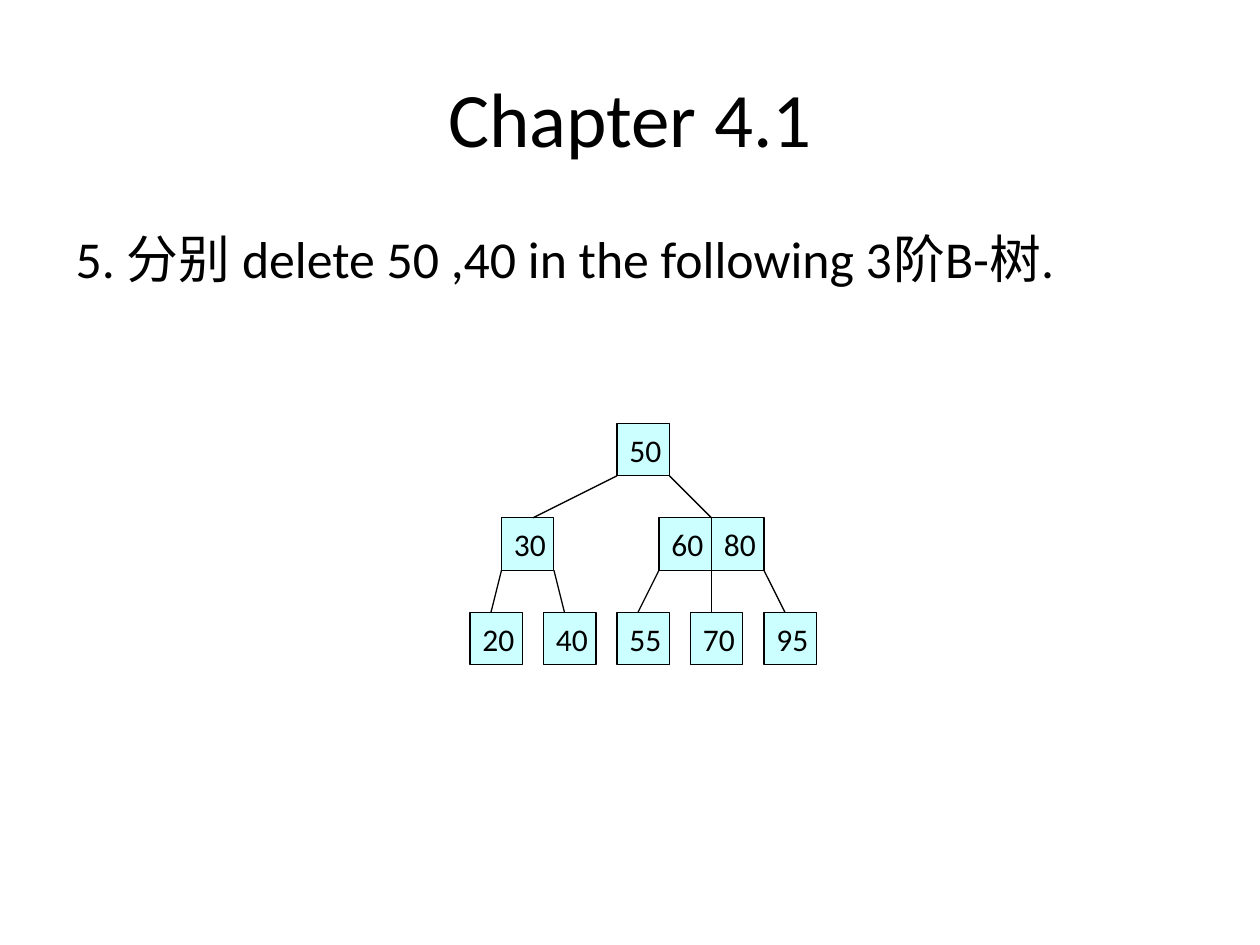
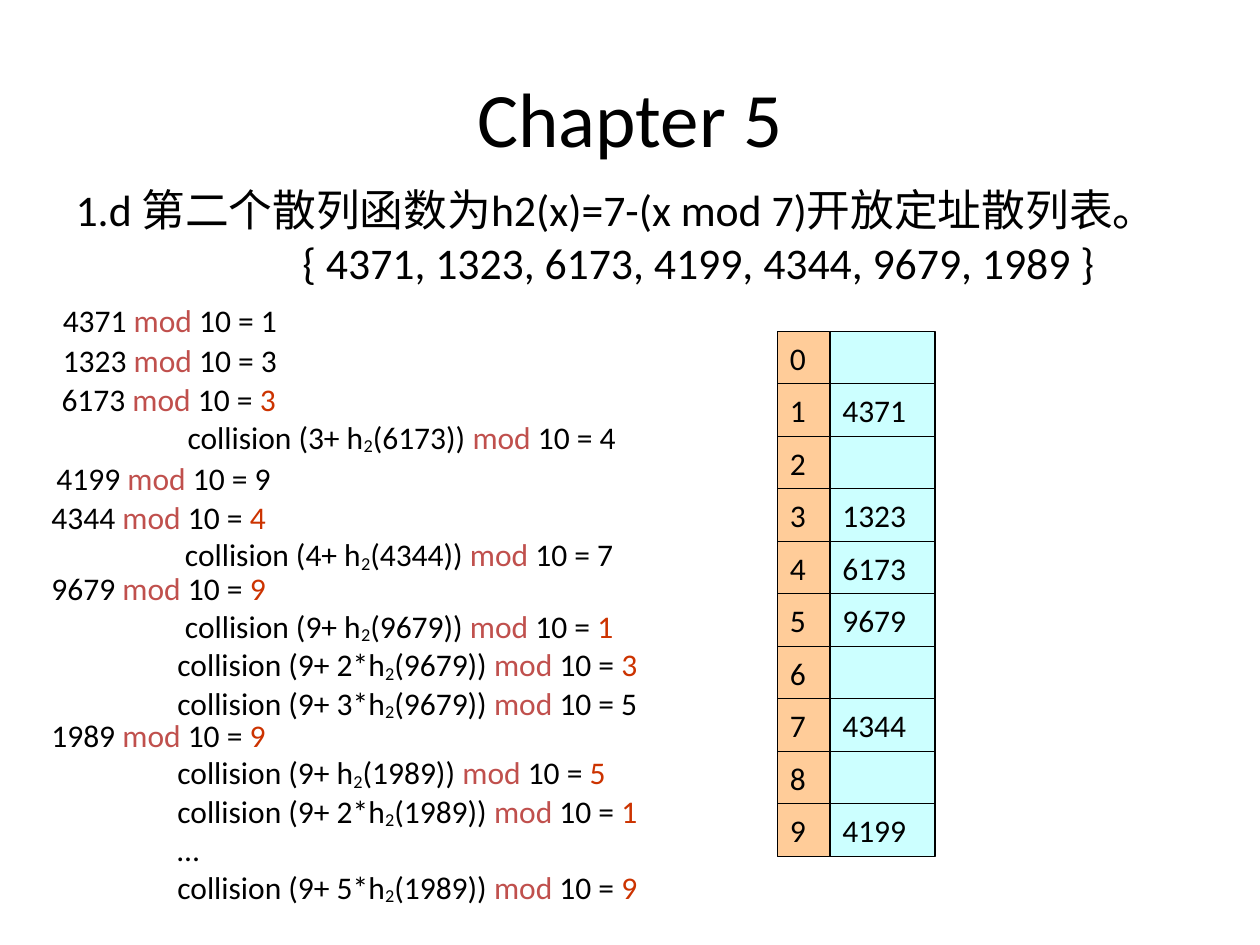
import pptx
import pptx.util
import pptx.dml.color
import pptx.enum.shapes
import pptx.enum.text
import pptx.oxml
import pptx.oxml.ns
from pptx.util import Inches, Pt

RGBColor = pptx.dml.color.RGBColor
BLACK = RGBColor(0x00, 0x00, 0x00)
CYAN = RGBColor(0xCC, 0xFF, 0xFF)
ORANGE = RGBColor(0xFF, 0xCC, 0x99)
MOD_RED = RGBColor(0xC0, 0x50, 0x4D)
CLASH_RED = RGBColor(0xCC, 0x33, 0x00)
FONT = "Calibri"
LINE = Pt(0.75)
MIDDLE = pptx.enum.text.MSO_ANCHOR.MIDDLE

UNIT = Inches(1) / 12  # drawing grid of the tree and the hash slots
CELL, LEVEL, LEAF_STEP = 5, 9, 7

# Key and left edge, in grid units, for each level of the tree
TREE_LEVELS = [
    [("50", 14)],
    [("30", 3), ("60", 18), ("80", 18 + CELL)],
    [(key, i * LEAF_STEP) for i, key in enumerate(("20", "40", "55", "70", "95"))],
]
# Start and end of the edges that leave each level
TREE_EDGES = [
    [(14, 6), (19, 23)],
    [(start, i * LEAF_STEP + 2) for i, start in enumerate((3, 8, 18, 23, 28))],
]

# left, top, width, height, key, home slot, clash,
# probes (indent, factor, slot, clash); None stands for skipped probes
HASH_STEPS = [
    (0.4, 2.34, 1.9, 0.4, "4371", 1, False, []),
    (0.4, 2.66, 1.9, 0.4, "1323", 3, False, []),
    (0.39, 2.97, 4.84, 0.71, "6173", 3, True, [(1, "", 4, False)]),
    (0.35, 3.59, 1.9, 0.4, "4199", 9, False, []),
    (0.31, 3.9, 4.92, 0.71, "4344", 4, True, [(1.06, "", 7, False)]),
    (0.31, 4.47, 6.41, 1.31, "9679", 9, True,
     [(1.06, "", 1, True), (1, "2*", 3, True), (1, "3*", 5, False)]),
    (0.31, 5.63, 5.86, 1.61, "1989", 9, True,
     [(1, "", 5, True), (1, "2*", 1, True), None, (1, "5*", 9, True)]),
]
HASH_SLOTS = ["", "4371", "", "1323", "6173", "9679", "", "4344", "", "4199"]


def grid(n):
    return round(n * UNIT)


def add_run(p, text, size=18, color=BLACK):
    r = p.add_run()
    r.text = text
    r.font.size = Pt(size)
    r.font.name = FONT
    r.font.color.rgb = color
    return r


def indent(p, left, first=0):
    pPr = p._p.get_or_add_pPr()
    pPr.set("marL", str(Inches(left)))
    pPr.set("indent", str(Inches(first)))


def place(sp, left, top, width, height):
    sp.left, sp.top = Inches(left), Inches(top)
    sp.width, sp.height = Inches(width), Inches(height)
    sp.text_frame.auto_size = pptx.enum.text.MSO_AUTO_SIZE.NONE


def add_slide(prs, title):
    s = prs.slides.add_slide(prs.slide_layouts[1])
    place(s.shapes.title, 0.5, 0.3, 9, 1.25)
    tf = s.shapes.title.text_frame
    tf.vertical_anchor = MIDDLE
    add_run(tf.paragraphs[0], title, 44)
    return s


def fill_body(s, top, height, size, paragraphs, line_spacing=1.0, right=0.1):
    """Fill the body with unbulleted (text, left indent, first-line indent)."""
    body = s.placeholders[1]
    place(body, 0.5, top, 9, height)
    tf = body.text_frame
    tf.margin_right = Inches(right)
    for i, (text, left, first) in enumerate(paragraphs):
        p = tf.add_paragraph() if i else tf.paragraphs[0]
        indent(p, left, first)
        p.line_spacing = line_spacing
        p.space_before = Pt(6.2 if i else 0)
        p._p.get_or_add_pPr().append(pptx.oxml.parse_xml(
            "<a:buNone %s/>" % pptx.oxml.ns.nsdecls("a")))
        add_run(p, text, size)


def add_cell(s, left, top, key, width=CELL, color=CYAN):
    sp = s.shapes.add_shape(pptx.enum.shapes.MSO_SHAPE.RECTANGLE,
                            left, top, grid(width), grid(CELL))
    sp.shadow.inherit = False
    sp.fill.solid()
    sp.fill.fore_color.rgb = color
    sp.line.color.rgb = BLACK
    sp.line.width = LINE
    if key:
        tf = sp.text_frame
        tf.word_wrap = False
        tf.vertical_anchor = MIDDLE
        p = tf.paragraphs[0]
        p.alignment = pptx.enum.text.PP_ALIGN.LEFT
        add_run(p, key)


def add_edge(s, x1, y1, x2, y2):
    line = s.shapes.add_connector(pptx.enum.shapes.MSO_CONNECTOR.STRAIGHT,
                                  x1, y1, x2, y2)
    line.line.color.rgb = BLACK
    line.line.width = LINE
    line._element.spPr.append(pptx.oxml.parse_xml(
        "<a:effectLst %s/>" % pptx.oxml.ns.nsdecls("a")))


def draw_tree(s, left, top):
    for depth, nodes in enumerate(TREE_LEVELS):
        for key, x in nodes:
            add_cell(s, left + grid(x), top + grid(depth * LEVEL), key)
    for depth, edges in enumerate(TREE_EDGES):
        y = depth * LEVEL
        for start, end in edges:
            add_edge(s, left + grid(start), top + grid(y + CELL),
                     left + grid(end), top + grid(y + LEVEL))


def add_result(p, slot, clash):
    """End a line with "mod 10 = slot", the slot in red if it is taken."""
    add_run(p, "mod", color=MOD_RED)
    add_run(p, " 10 = ")
    add_run(p, str(slot), color=CLASH_RED if clash else BLACK)


def add_hash_step(s, left, top, width, height, key, home, clash, probes):
    tb = s.shapes.add_textbox(Inches(left), Inches(top), Inches(width), Inches(height))
    tf = tb.text_frame
    tf.word_wrap = bool(probes)
    p = tf.paragraphs[0]
    add_run(p, key + " ")
    add_result(p, home, clash)
    for probe in probes:
        p = tf.add_paragraph()
        if probe is None:
            indent(p, 1)
            add_run(p, "…")
            continue
        lead, factor, slot, taken = probe
        indent(p, lead)
        add_run(p, f"collision ({home}+ {factor}h")
        add_run(p, "2")._r.get_or_add_rPr().set("baseline", "-10000")
        add_run(p, f"({key})) ")
        add_result(p, slot, taken)


def draw_hash_slots(s, left, top):
    for i, key in enumerate(HASH_SLOTS):
        y = top + grid(i * CELL)
        add_cell(s, left + grid(CELL), y, key, 2 * CELL)
        add_cell(s, left, y, str(i), color=ORANGE)


def tree_slide(prs):
    s = add_slide(prs, "Chapter 4.1")
    fill_body(s, 1.75, 0.83, 29.6,
              [("5. 分别 delete 50 ,40 in the following 3阶B-树.", 0.38, -0.38)])
    draw_tree(s, Inches(3.73), Inches(3.36))


def hashing_slide(prs):
    s = add_slide(prs, "Chapter 5")
    fill_body(s, 1.48, 0.94, 25, [
        ("1.d 第二个散列函数为h2(x)=7-(x mod 7)开放定址散列表。", 0.38, -0.38),
        ("{ 4371, 1323, 6173, 4199, 4344, 9679, 1989 }", 1.8, 0),
    ], line_spacing=0.8, right=0.6)
    for step in HASH_STEPS:
        add_hash_step(s, *step)
    draw_hash_slots(s, Inches(6.17), Inches(2.63))


def main():
    prs = pptx.Presentation()
    prs.slide_width, prs.slide_height = Inches(10), Inches(7.5)
    tree_slide(prs)
    hashing_slide(prs)
    prs.save("out.pptx")


if __name__ == "__main__":
    main()
